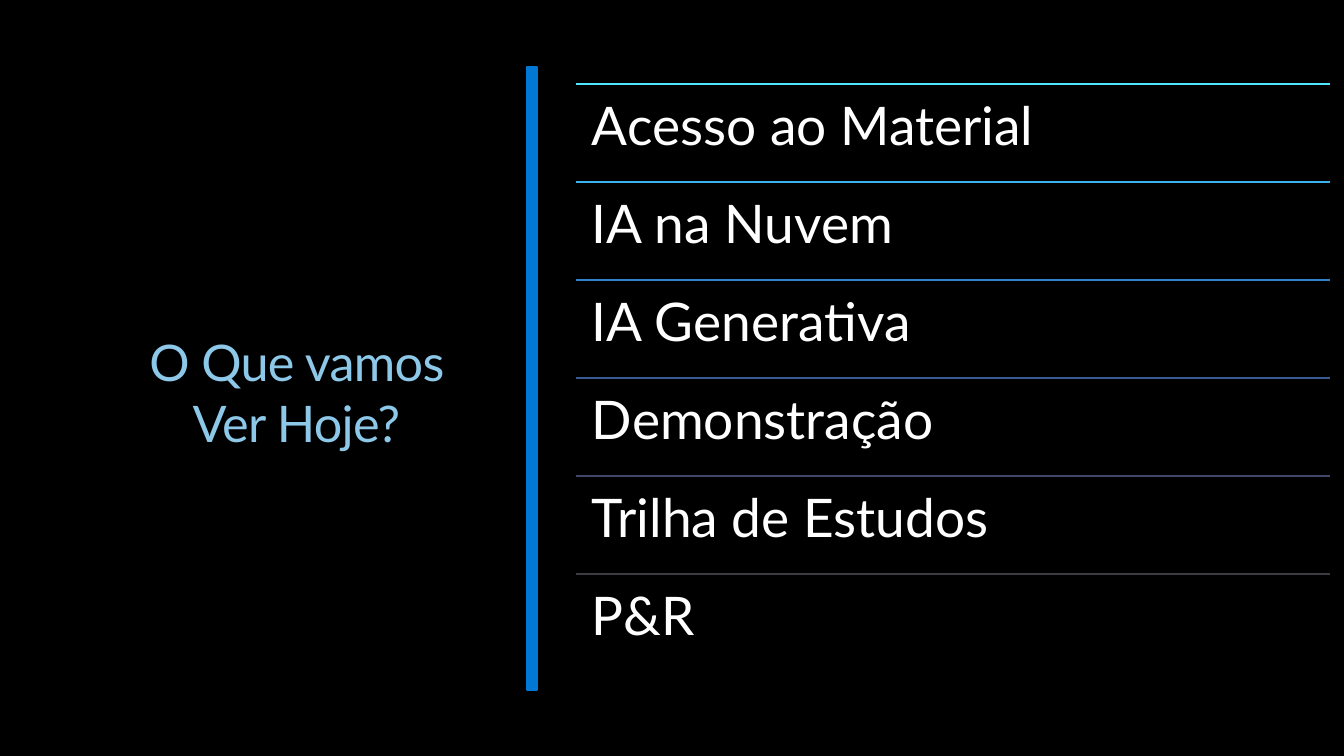
from dataclasses import dataclass

from pptx import Presentation
from pptx import util as u
from pptx.dml.color import RGBColor
from pptx.enum import shapes, text
from pptx.oxml.ns import qn
from pptx.shapes.autoshape import Shape
from pptx.slide import Slide
from pptx.text.text import TextFrame, _Run

PX = u.Inches(1) / 100.8
FONT = "Lato"
RULE_WEIGHT = u.Pt(0.85)

BLACK = RGBColor(0x00, 0x00, 0x00)
WHITE = RGBColor(0xFF, 0xFF, 0xFF)
BLUE = RGBColor(0x00, 0x78, 0xD4)
SKY = RGBColor(0x8D, 0xC8, 0xE8)
LILAC = RGBColor(0xCD, 0x98, 0xD0)
CYAN = RGBColor(0x50, 0xE6, 0xFF)
AZURE = RGBColor(0x3B, 0xB3, 0xEA)
COBALT = RGBColor(0x30, 0x80, 0xCB)
INDIGO = RGBColor(0x3C, 0x5B, 0x95)
SLATE = RGBColor(0x40, 0x47, 0x67)
CHARCOAL = RGBColor(0x3C, 0x3C, 0x41)

AGENDA_LEFT, AGENDA_TOP, AGENDA_WIDTH, TOPIC_HEIGHT = 576, 84, 754, 98


@dataclass(frozen=True)
class Topic:
    label: str
    rule_color: RGBColor


TOPICS = [
    Topic("Acesso ao Material", CYAN),
    Topic("IA na Nuvem", AZURE),
    Topic("IA Generativa", COBALT),
    Topic("Demonstração", INDIGO),
    Topic("Trilha de Estudos", SLATE),
    Topic("P&R", CHARCOAL),
]


def px(length: int) -> u.Emu:
    return u.Emu(round(length * PX))


def write(frame: TextFrame, words: str, *, size: int, color: RGBColor,
          align: text.PP_ALIGN = text.PP_ALIGN.LEFT,
          anchor: text.MSO_ANCHOR = text.MSO_ANCHOR.TOP,
          inset: int = 0, line_spacing: float = 1.0) -> _Run:
    frame.word_wrap = True
    frame.vertical_anchor = anchor
    frame.margin_left = frame.margin_right = px(inset)
    frame.margin_top = frame.margin_bottom = px(inset)
    paragraph = frame.paragraphs[0]
    paragraph.alignment = align
    paragraph.line_spacing = line_spacing
    run = paragraph.add_run()
    run.text = words
    run.font.name = FONT
    run.font.size = u.Pt(size)
    run.font.color.rgb = color
    return run


def draw_title(slide: Slide) -> None:
    title: Shape = slide.shapes.title
    title.left, title.top, title.width, title.height = map(px, (114, 331, 365, 122))
    heading = write(title.text_frame, "O Que vamos Ver Hoje?", size=36, color=SKY,
                    align=text.PP_ALIGN.CENTER, anchor=text.MSO_ANCHOR.MIDDLE)
    title.text_frame.auto_size = text.MSO_AUTO_SIZE.SHAPE_TO_FIT_TEXT
    heading.font.fill.gradient()
    heading.font.fill.gradient_angle = 315
    for stop, color in zip(heading.font.fill.gradient_stops, (SKY, LILAC)):
        stop.color.rgb = color
    heading.font._element.set("spc", "-50")


def draw_divider(slide: Slide) -> None:
    divider = slide.shapes.add_shape(shapes.MSO_SHAPE.RECTANGLE,
                                     *map(px, (527, 67, 10, 623)))
    divider.shadow.inherit = False
    divider.fill.solid()
    divider.fill.fore_color.rgb = BLUE
    divider.line.color.rgb = BLUE
    divider.line.width = RULE_WEIGHT


def draw_topic(slide: Slide, topic: Topic, top: int) -> None:
    rule = slide.shapes.add_connector(
        shapes.MSO_CONNECTOR.STRAIGHT,
        px(AGENDA_LEFT), px(top), px(AGENDA_LEFT + AGENDA_WIDTH), px(top))
    rule.line.color.rgb = topic.rule_color
    rule.line.width = RULE_WEIGHT
    properties = rule._element.spPr
    properties.append(properties.makeelement(qn("a:effectLst"), {}))
    label = slide.shapes.add_textbox(
        px(AGENDA_LEFT), px(top), px(AGENDA_WIDTH), px(TOPIC_HEIGHT))
    write(label.text_frame, topic.label, size=38, color=WHITE,
          inset=16, line_spacing=0.9)


def main() -> None:
    deck = Presentation()
    deck.slide_width, deck.slide_height = px(1344), px(756)
    agenda = deck.slides.add_slide(deck.slide_layouts.get_by_name("Title Only"))
    agenda.background.fill.solid()
    agenda.background.fill.fore_color.rgb = BLACK
    for row, topic in enumerate(TOPICS):
        draw_topic(agenda, topic, AGENDA_TOP + row * TOPIC_HEIGHT)
    draw_divider(agenda)
    draw_title(agenda)
    deck.save("out.pptx")


if __name__ == "__main__":
    main()
